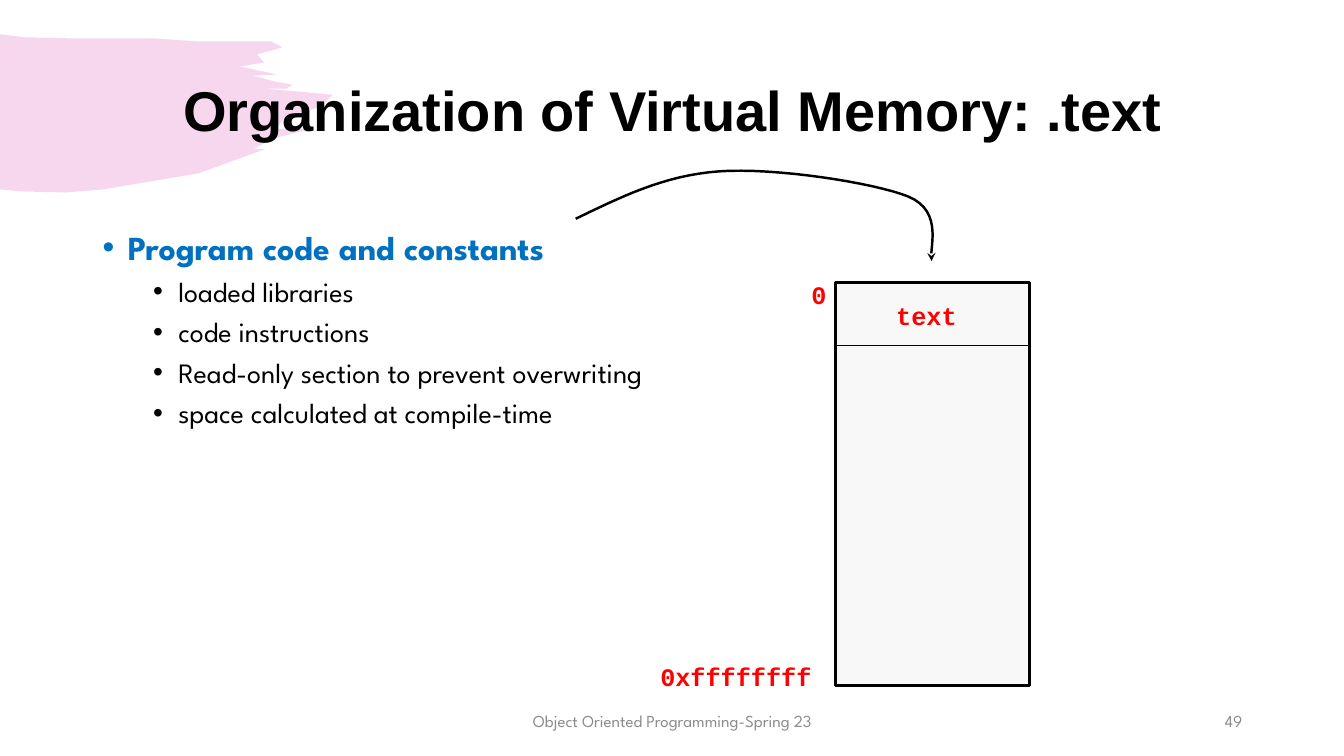
from dataclasses import dataclass

from lxml.etree import SubElement
from pptx import Presentation
from pptx.dml.color import RGBColor
from pptx.enum.shapes import MSO_CONNECTOR as Connector, MSO_SHAPE as Preset
from pptx.enum.text import MSO_ANCHOR as Anchor, PP_ALIGN as Align
from pptx.oxml.ns import qn
from pptx.util import Inches, Pt


@dataclass(frozen=True)
class Theme:
    ink: str = "000000"
    accent: str = "0070C0"
    label: str = "FF0000"
    muted: str = "8C8C8C"
    memory: str = "F8F8F8"
    brush: str = "D739AE"
    title_font: str = "Arial"
    body_font: str = "League Spartan"
    code_font: str = "Courier New"
    title_size: int = 40
    heading_size: int = 24
    item_size: int = 20
    label_size: int = 18
    footer_size: int = 12


BRUSH_EDGE = [
    (0, 0.34), (0.25, 0.37), (0.66, 0.38), (1.51, 0.38), (1.94, 0.41), (2.48, 0.41),
    (2.69, 0.41), (2.8, 0.47), (2.55, 0.54), (2.62, 0.62), (2.38, 0.66), (2.75, 0.74),
    (2.51, 0.75), (2.73, 0.81), (2.9, 0.84), (2.84, 0.88), (2.63, 0.88), (3.3, 0.94),
    (3.18, 1.06), (2.83, 1.16), (2.74, 1.28), (3.08, 1.28), (2.69, 1.38), (2.52, 1.48),
    (2.63, 1.48), (1.97, 1.72), (1.02, 1.88), (0.65, 1.91), (0.23, 1.9), (0, 1.88),
]
ARROW_CONTROLS = [
    (5.71, 2.17), (6.15, 1.96), (6.58, 1.74), (7.13, 1.7), (7.68, 1.66),
    (8.66, 1.81), (9.01, 1.95), (9.37, 2.1), (9.21, 2.48), (9.24, 2.59),
]


def curve_points(controls, steps=16):
    points = [controls[0]]
    for first in range(0, len(controls) - 1, 3):
        axes = list(zip(*controls[first:first + 4]))
        for step in range(1, steps + 1):
            t = step / steps
            u = 1 - t
            weights = (u**3, 3 * u * u * t, 3 * u * t * t, t**3)
            points.append(tuple(sum(w * c for w, c in zip(weights, axis)) for axis in axes))
    return points


class MemorySlide:
    def __init__(self, deck, theme):
        self.theme = theme
        self.slide = deck.slides.add_slide(deck.slide_layouts[5])
        self.shapes = self.slide.shapes

    def style(self, paragraph, font, size, color, bold=False):
        paragraph.font.name = font
        paragraph.font.size = Pt(size)
        paragraph.font.bold = bold
        paragraph.font.color.rgb = RGBColor.from_string(color)

    def outline(self, shape, width):
        shape.line.color.rgb = RGBColor.from_string(self.theme.ink)
        shape.line.width = Pt(width)

    def freeform(self, points, close):
        start, *rest = [tuple(map(Inches, point)) for point in points]
        builder = self.shapes.build_freeform(*start, scale=1.0)
        builder.add_line_segments(rest, close=close)
        shape = builder.convert_to_shape()
        shape.shadow.inherit = False
        return shape

    def brush(self, edge):
        stroke = self.freeform(edge, True)
        stroke.fill.solid()
        stroke.fill.fore_color.rgb = RGBColor.from_string(self.theme.brush)
        tint = stroke._element.spPr.find(qn("a:solidFill"))[0]
        SubElement(tint, qn("a:alpha"), val="20000")
        stroke.line.fill.background()
        self.shapes._spTree.insert(2, stroke._element)

    def curved_arrow(self, controls):
        arrow = self.freeform(curve_points(controls), False)
        arrow.fill.background()
        self.outline(arrow, 1.75)
        SubElement(arrow._element.spPr.find(qn("a:ln")), qn("a:tailEnd"), type="stealth")

    def title(self, text, *box):
        heading = self.shapes.title
        heading.left, heading.top, heading.width, heading.height = map(Inches, box)
        frame = heading.text_frame
        frame.text = text
        frame.vertical_anchor = Anchor.MIDDLE
        paragraph = frame.paragraphs[0]
        paragraph.alignment = Align.CENTER
        paragraph.line_spacing = 0.9
        self.style(paragraph, self.theme.title_font, self.theme.title_size, self.theme.ink, True)

    def text_box(self, *box, wrap=True):
        frame = self.shapes.add_textbox(*map(Inches, box)).text_frame
        frame.word_wrap = wrap
        return frame

    def bullets(self, heading, items, *box):
        theme = self.theme
        frame = self.text_box(*box)
        for index, text in enumerate([heading, *items]):
            paragraph = frame.add_paragraph() if index else frame.paragraphs[0]
            paragraph.text = text
            properties = paragraph._p.get_or_add_pPr()
            properties.set("marL", str(Inches(0.75 if index else 0.25)))
            properties.set("indent", str(Inches(-0.25)))
            if index:
                paragraph.level = 1
                paragraph.space_before = Pt(5)
            SubElement(properties, qn("a:buFont"), typeface="Arial")
            SubElement(properties, qn("a:buChar"), char="•")
            if index:
                self.style(paragraph, theme.body_font, theme.item_size, theme.ink)
            else:
                self.style(paragraph, theme.body_font, theme.heading_size, theme.accent, True)

    def label(self, text, *box, wrap=True):
        paragraph = self.text_box(*box, wrap=wrap).paragraphs[0]
        paragraph.text = text
        self.style(paragraph, self.theme.code_font, self.theme.label_size, self.theme.label, True)

    def footer(self, text, align, *box):
        frame = self.text_box(*box)
        frame.vertical_anchor = Anchor.MIDDLE
        paragraph = frame.paragraphs[0]
        paragraph.text = text
        paragraph.alignment = align
        self.style(paragraph, self.theme.body_font, self.theme.footer_size, self.theme.muted)

    def memory_block(self, *box):
        block = self.shapes.add_shape(Preset.RECTANGLE, *map(Inches, box))
        block.shadow.inherit = False
        block.fill.solid()
        block.fill.fore_color.rgb = RGBColor.from_string(self.theme.memory)
        self.outline(block, 2.25)

    def divider(self, *ends):
        line = self.shapes.add_connector(Connector.STRAIGHT, *map(Inches, ends))
        self.outline(line, 0.75)
        SubElement(line._element.spPr, qn("a:effectLst"))


def main():
    deck = Presentation()
    deck.slide_width, deck.slide_height = Inches(13.33), Inches(7.5)
    page = MemorySlide(deck, Theme())
    page.brush(BRUSH_EDGE)
    page.title("Organization of Virtual Memory: .text", 0.92, 0.4, 11.5, 1.45)
    page.bullets(
        "Program code and constants",
        ["loaded libraries", "code instructions",
         "Read-only section to prevent overwriting", "space calculated at compile-time"],
        0.92, 2.2, 11.5, 4.55,
    )
    page.footer("Object Oriented Programming-Spring 23", Align.CENTER, 4.42, 6.95, 4.5, 0.4)
    page.footer("49", Align.RIGHT, 9.42, 6.95, 3, 0.4)
    page.memory_block(8.29, 2.8, 1.92, 4)
    page.label("0xffffffff", 6.45, 6.51, 1.71, 0.4, wrap=False)
    page.label("0", 7.95, 2.72, 0.42, 0.4)
    page.curved_arrow(ARROW_CONTROLS)
    page.divider(8.29, 3.43, 10.2, 3.43)
    page.label("text", 8.79, 2.93, 1.17, 0.4)
    deck.save("out.pptx")


if __name__ == "__main__":
    main()
